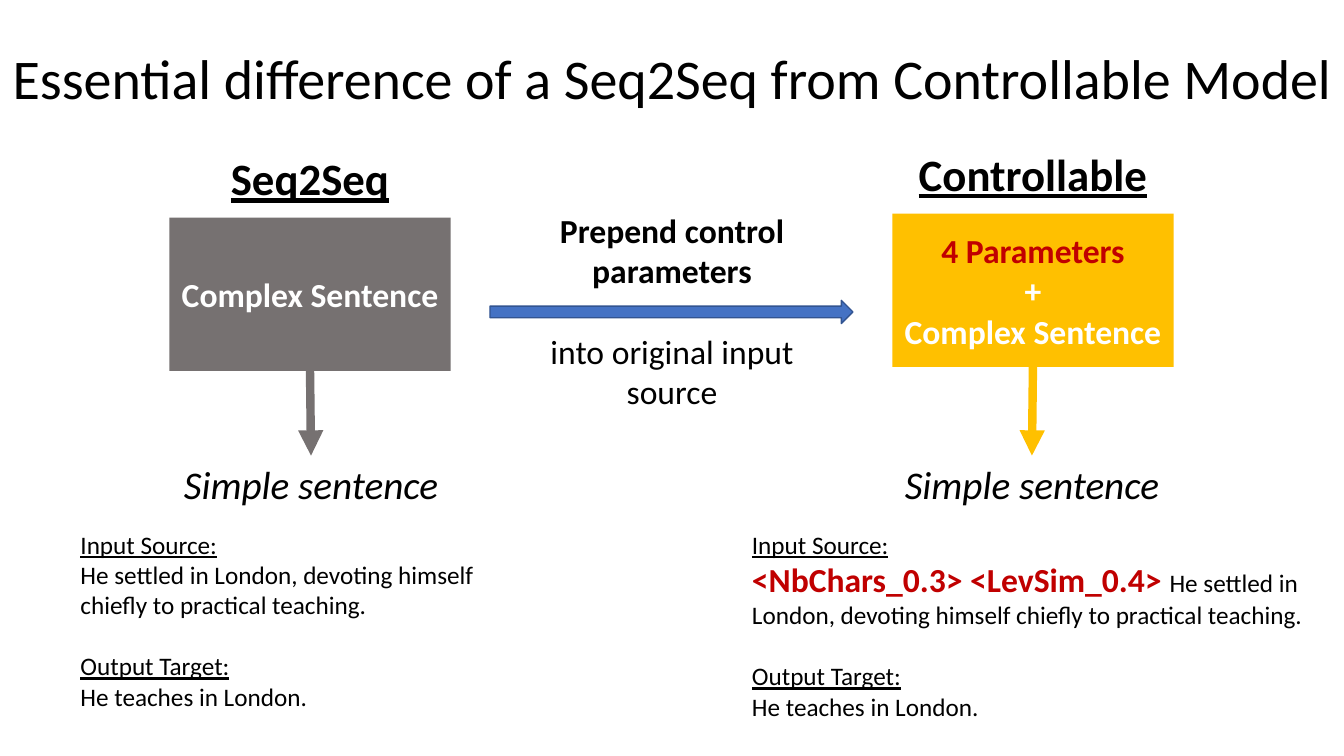
import pptx
import pptx.util
import pptx.dml.color
import pptx.enum.shapes
import pptx.enum.text
import pptx.oxml
import pptx.oxml.ns

Inches, Pt = pptx.util.Inches, pptx.util.Pt
SHAPE = pptx.enum.shapes.MSO_SHAPE
ANCHOR = pptx.enum.text.MSO_ANCHOR
ALIGN = pptx.enum.text.PP_ALIGN
BLACK, WHITE, RED = "000000", "FFFFFF", "C00000"
GRAY, GOLD, BLUE, DARK_BLUE = "767171", "FFC000", "4472C4", "325491"
BOX_W, BOX_H = 2.79, 1.52
RESULT_TOP, RESULT_W = 4.52, 2.81


def rgb(value):
    return pptx.dml.color.RGBColor.from_string(value)


def style(r, size, color=BLACK, bold=False, italic=False, underline=False):
    f = r.font
    f.name, f.size = "Calibri", Pt(size)
    f.bold, f.italic, f.underline = bold, italic, underline
    f.color.rgb = rgb(color)


def write(tf, lines, align=ALIGN.CENTER, anchor=ANCHOR.TOP):
    """Each line is a list of (text, font options) runs."""
    tf.word_wrap = True
    tf.vertical_anchor = anchor
    for i, runs in enumerate(lines):
        p = tf.paragraphs[0] if i == 0 else tf.add_paragraph()
        p.alignment = align
        for text, options in runs:
            r = p.add_run()
            r.text = text
            style(r, **options)


def add_text(s, box, lines, align=ALIGN.CENTER):
    sp = s.shapes.add_textbox(*map(Inches, box))
    write(sp.text_frame, lines, align)
    return sp.text_frame


def add_block(s, kind, box, fill, line=None):
    sp = s.shapes.add_shape(kind, *map(Inches, box))
    sp.shadow.inherit = False
    sp.fill.solid()
    sp.fill.fore_color.rgb = rgb(fill)
    if line:
        sp.line.color.rgb = rgb(line)
        sp.line.width = Pt(1)
    else:
        sp.line.fill.background()
    return sp


def add_arrow(s, start, end, color):
    cx = s.shapes.add_connector(pptx.enum.shapes.MSO_CONNECTOR.STRAIGHT,
                                *map(Inches, start + end))
    cx.line.color.rgb = rgb(color)
    cx.line.width = Pt(6)
    tail = pptx.oxml.parse_xml(
        f'<a:tailEnd {pptx.oxml.ns.nsdecls("a")} type="triangle"/>')
    cx.line._get_or_add_ln().append(tail)
    cx._element.spPr.append(
        pptx.oxml.parse_xml(f'<a:effectLst {pptx.oxml.ns.nsdecls("a")}/>'))


def add_title(s, box, text):
    sp = s.shapes.title
    sp.left, sp.top, sp.width, sp.height = map(Inches, box)
    write(sp.text_frame, [[(text, dict(size=40))]])


def add_model(s, left, top, heading, heading_rise, color, inputs, result_left):
    # Heading and input box
    add_text(s, (left, top - heading_rise, BOX_W, 0.64),
             [[(heading, dict(size=32, bold=True, underline=True))]])
    sp = add_block(s, SHAPE.RECTANGLE, (left, top, BOX_W, BOX_H), color)
    write(sp.text_frame,
          [[(text, dict(size=24, bold=True, color=c))] for text, c in inputs],
          anchor=ANCHOR.MIDDLE)
    # Arrow down to the result
    add_arrow(s, (left + BOX_W / 2, top + BOX_H),
              (result_left + RESULT_W / 2, RESULT_TOP), color)
    add_text(s, (result_left, RESULT_TOP, RESULT_W, 0.57),
             [[("Simple sentence", dict(size=28, italic=True))]])


def add_example(s, box, parameters=()):
    label, plain = dict(size=18, underline=True), dict(size=18)
    source = "He settled in London, devoting himself chiefly to practical teaching."
    tf = add_text(s, box, [
        [("Input Source:", label)],
        [*parameters, (source, plain)],
        [("Output Target:", label)],
        [("He teaches in London.", plain)],
    ], ALIGN.LEFT)
    tf.paragraphs[2].space_before = Pt(22)


def add_transition(s, left, top):
    add_block(s, SHAPE.RIGHT_ARROW, (left, top + 0.95, 3.6, 0.23), BLUE, DARK_BLUE)
    tf = add_text(s, (left + 0.5, top, 2.61, 2.12), [
        [("Prepend control parameters", dict(size=24, bold=True))],
        [("into original input source", dict(size=24))],
    ])
    tf.paragraphs[1].space_before = Pt(29)


def main():
    prs = pptx.Presentation()
    prs.slide_width, prs.slide_height = Inches(13.33), Inches(7.5)
    s = prs.slides.add_slide(prs.slide_layouts[5])
    add_title(s, (0, 0.38, 13.33, 0.77),
              "Essential difference of a Seq2Seq from Controllable Model")

    # The two models
    add_model(s, 1.68, 2.16, "Seq2Seq", 0.71, GRAY,
              [("Complex Sentence", WHITE)], 1.68)
    add_model(s, 8.85, 2.12, "Controllable", 0.71, GOLD,
              [("4 Parameters", RED), ("+", WHITE), ("Complex Sentence", WHITE)],
              8.83)
    add_transition(s, 4.86, 2.03)

    # Examples below each model
    add_example(s, (0.7, 5.2, 4.77, 1.92))
    add_example(s, (7.36, 5.2, 5.77, 2.02),
                [("<NbChars_0.3> <LevSim_0.4> ", dict(size=24, bold=True, color=RED))])
    prs.save("out.pptx")


if __name__ == "__main__":
    main()
